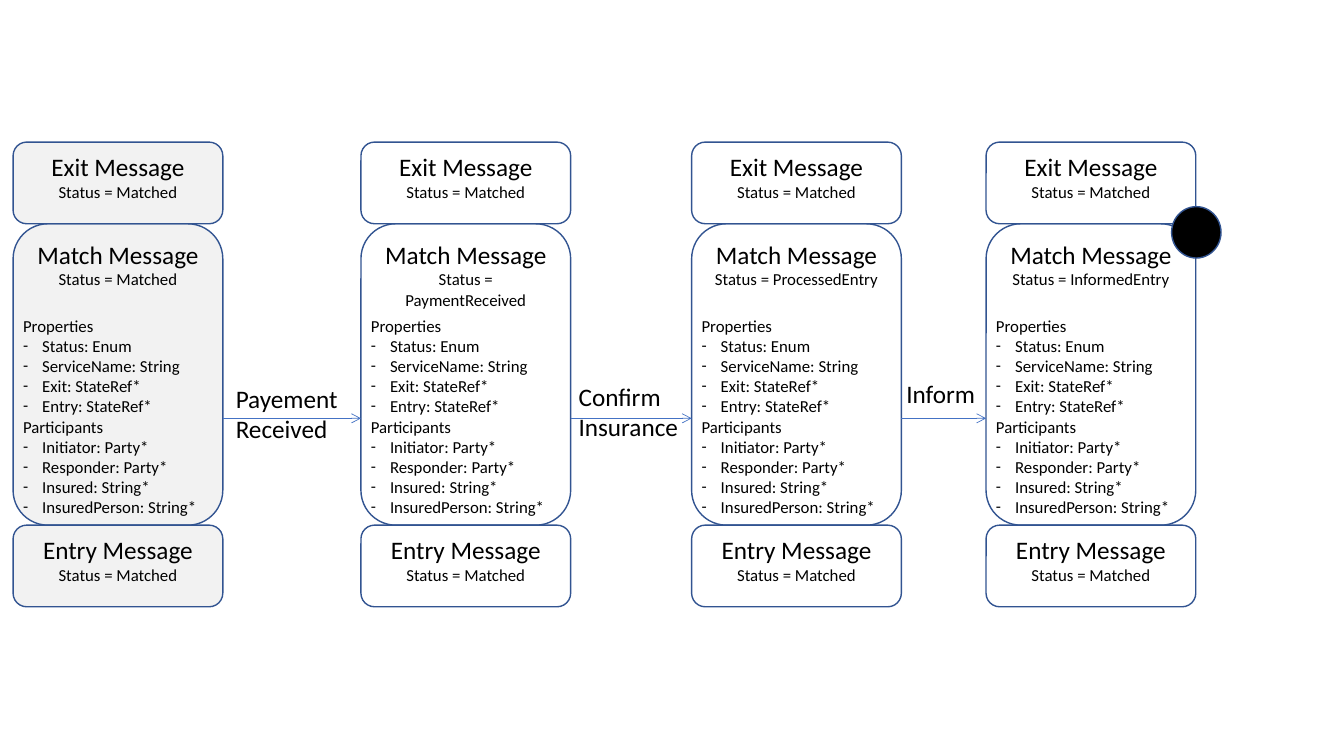
from lxml.etree import SubElement
from pptx import Presentation
from pptx.dml.color import RGBColor
from pptx.enum.shapes import MSO_CONNECTOR, MSO_SHAPE
from pptx.enum.text import MSO_ANCHOR, PP_ALIGN
from pptx.oxml.ns import qn
from pptx.util import Inches, Pt

COLORS = {"border": "325491", "arrow": "4472C4", "text": "000000",
          "first": "F2F2F2", "state": "FFFFFF", "end": "000000"}
FONT = "Calibri"
CARD_WIDTH = 2.08
EXIT_TOP, MATCH_TOP, ENTRY_TOP = 1.41, 2.22, 5.21
END_HEIGHT, MATCH_HEIGHT = 0.81, 2.99
DETAILS_TOP, DETAILS_HEIGHT = 3.08, 2.12
ARROW_Y = 4.15
STATES = [  # left, status, fill
    (0.13, "Matched", "first"),
    (3.58, "PaymentReceived", "state"),
    (6.86, "ProcessedEntry", "state"),
    (9.78, "InformedEntry", "state"),
]
TRANSITIONS = [  # label lines, left, top, width, height
    (["Payement", "Received"], 2.24, 3.75, 1.22, 0.71),
    (["Confirm", "Insurance"], 5.64, 3.73, 1.19, 0.71),
    (["Inform"], 8.89, 3.7, 0.89, 0.4),
]
DETAILS = {
    "Properties": ["Status: Enum", "ServiceName: String",
                   "Exit: StateRef*", "Entry: StateRef*"],
    "Participants": ["Initiator: Party*", "Responder: Party*",
                     "Insured: String*", "InsuredPerson: String*"],
}


def color(name):
    """Return the named colour."""
    return RGBColor.from_string(COLORS[name])


def format_text(para, size, align=PP_ALIGN.LEFT):
    """Apply alignment, font, size and colour to a paragraph."""
    para.alignment = align
    for span in para.runs:
        span.font.name = FONT
        span.font.size = Pt(size)
        span.font.color.rgb = color("text")


def add_bullet(para):
    """Give a paragraph a hanging dash."""
    properties = para._p.get_or_add_pPr()
    properties.set("marL", str(Inches(0.19)))
    properties.set("indent", str(-Inches(0.19)))
    SubElement(properties, qn("a:buFont"), typeface=FONT)
    SubElement(properties, qn("a:buChar"), char="-")


def add_outlined(page, kind, bounds, fill):
    """Add a filled shape with the common border."""
    shape = page.shapes.add_shape(kind, *map(Inches, bounds))
    shape.shadow.inherit = False
    shape.fill.solid()
    shape.fill.fore_color.rgb = color(fill)
    shape.line.color.rgb = color("border")
    shape.line.width = Pt(1)
    return shape


def add_message(page, bounds, title, status, fill):
    """Add a rounded message box with its title and status."""
    box = add_outlined(page, MSO_SHAPE.ROUNDED_RECTANGLE, bounds, fill)
    frame = box.text_frame
    frame.word_wrap = True
    frame.vertical_anchor = MSO_ANCHOR.TOP
    frame.text = f"{title} Message\nStatus = {status}"
    for para, size in zip(frame.paragraphs, (18, 12)):
        format_text(para, size, PP_ALIGN.CENTER)


def add_text(page, bounds, lines, size, wrap):
    """Add a text box with one paragraph per line and return its paragraphs."""
    box = page.shapes.add_textbox(*map(Inches, bounds))
    box.text_frame.word_wrap = wrap
    box.text_frame.text = "\n".join(lines)
    for para in box.text_frame.paragraphs:
        format_text(para, size)
    return box.text_frame.paragraphs


def add_details(page, left):
    """Add the list of properties and participants."""
    lines = [line for heading, items in DETAILS.items()
             for line in (heading, *items)]
    bounds = (left, DETAILS_TOP, CARD_WIDTH, DETAILS_HEIGHT)
    for para in add_text(page, bounds, lines, 12, True):
        if para.text not in DETAILS:
            add_bullet(para)


def add_state(page, left, status, fill):
    """Add a state: match message, details, exit and entry messages."""
    add_message(page, (left, MATCH_TOP, CARD_WIDTH, MATCH_HEIGHT),
                "Match", status, fill)
    add_details(page, left)
    for title, top in (("Exit", EXIT_TOP), ("Entry", ENTRY_TOP)):
        add_message(page, (left, top, CARD_WIDTH, END_HEIGHT),
                    title, "Matched", fill)


def add_arrow(page, start, end):
    """Add a horizontal arrow between two states."""
    arrow = page.shapes.add_connector(
        MSO_CONNECTOR.STRAIGHT, Inches(start), Inches(ARROW_Y),
        Inches(end), Inches(ARROW_Y))
    arrow.line.color.rgb = color("arrow")
    arrow.line.width = Pt(0.5)
    SubElement(arrow.line._get_or_add_ln(), qn("a:tailEnd"), type="arrow")
    SubElement(arrow._element.spPr, qn("a:effectLst"))


def main():
    """Build the state diagram and save it."""
    deck = Presentation()
    deck.slide_width, deck.slide_height = Inches(13.33), Inches(7.5)
    page = deck.slides.add_slide(deck.slide_layouts[6])
    for state in STATES:
        add_state(page, *state)
    for source, target, transition in zip(STATES, STATES[1:], TRANSITIONS):
        add_arrow(page, source[0] + CARD_WIDTH, target[0])
        label, *bounds = transition
        add_text(page, bounds, label, 18, False)
    add_outlined(page, MSO_SHAPE.OVAL, (11.62, 2.05, 0.49, 0.51), "end")
    deck.save("out.pptx")


main()
